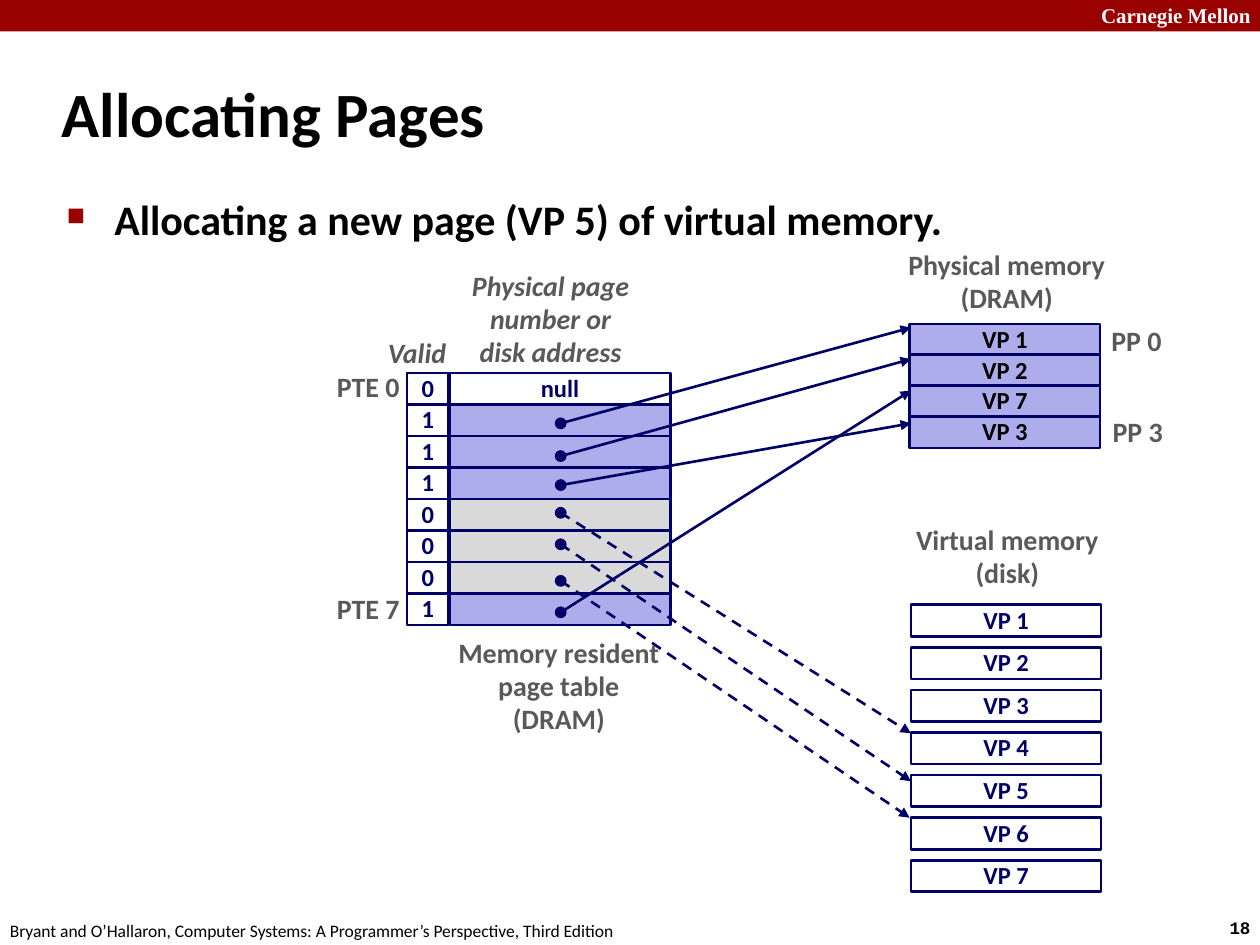
from typing import NamedTuple, Optional

from lxml.etree import SubElement
from pptx import Presentation
from pptx.dml.color import RGBColor
from pptx.enum.dml import MSO_LINE
from pptx.enum.shapes import MSO_CONNECTOR, MSO_SHAPE
from pptx.enum.text import MSO_ANCHOR, PP_ALIGN
from pptx.oxml.ns import qn
from pptx.shapes.autoshape import Shape
from pptx.slide import Slide
from pptx.util import Inches, Length, Pt

RED = RGBColor(0x99, 0x00, 0x00)
NAVY = RGBColor(0x00, 0x00, 0x66)
LILAC = RGBColor(0xAD, 0xAD, 0xEB)
SILVER = RGBColor(0xD9, 0xD9, 0xD9)
GREY = RGBColor(0x59, 0x59, 0x59)
BLACK = RGBColor(0x00, 0x00, 0x00)
WHITE = RGBColor(0xFF, 0xFF, 0xFF)

COLUMNS, ROWS = 100, 75
WIDTH, HEIGHT = Inches(10), Inches(7.5)
CELL_HEIGHT = 2.5
DOT_SIZE = 0.8
DOT_CENTER = 44.5


class Area(NamedTuple):
    left: float
    top: float
    width: float
    height: float


class Style(NamedTuple):
    size: float
    color: RGBColor
    bold: bool = True
    italic: bool = False
    align: PP_ALIGN = PP_ALIGN.LEFT
    anchor: MSO_ANCHOR = MSO_ANCHOR.TOP
    font: str = "Calibri"
    spacing: float = 1.0


class Label(NamedTuple):
    text: str
    area: Area
    style: Style


class Target(NamedTuple):
    dot: float
    left: float
    top: float


class Entry(NamedTuple):
    valid: str
    fill: RGBColor
    text: str = ""
    target: Optional[Target] = None


class Stack(NamedTuple):
    first: Area
    pitch: float
    names: list[str]
    fill: RGBColor
    color: RGBColor


CAPTION = Style(16, GREY, align=PP_ALIGN.CENTER, spacing=0.98)
SIDE = CAPTION._replace(anchor=MSO_ANCHOR.MIDDLE)
CELL = SIDE._replace(size=14, color=NAVY)

TITLE = Label("Allocating Pages", Area(3.9, 4.8, 83, 8.3),
              Style(36, BLACK, anchor=MSO_ANCHOR.MIDDLE))
BODY = Label("Allocating a new page (VP 5) of virtual memory.",
             Area(4.3, 14.9, 86.4, 54.4), Style(24, BLACK))
LABELS = [
    Label("Carnegie Mellon", Area(86.4, -0.3, 14.3, 3), Style(12, WHITE, font="Times New Roman")),
    Label("18", Area(96.6, 72.3, 4.5, 2.7), Style(10, BLACK, font="Courier New")),
    Label("Bryant and O’Hallaron, Computer Systems: A Programmer’s Perspective, Third Edition",
          Area(-0.2, 72.5, 50.8, 2.7), Style(10, BLACK, bold=False)),
    TITLE,
    Label("Memory resident\npage table\n(DRAM)", Area(35.1, 50.1, 18.5, 8.9), CAPTION),
    Label("Physical memory\n(DRAM)", Area(71, 19.3, 17.8, 6.3), CAPTION),
    Label("Virtual memory\n(disk)", Area(71.5, 41.1, 16.9, 6.3), CAPTION),
    Label("Valid", Area(29.8, 26.3, 7.5, 3.7), CAPTION._replace(italic=True, align=PP_ALIGN.LEFT)),
    Label("Physical page\nnumber or\ndisk address", Area(36.4, 20.9, 14.6, 8.9),
          SIDE._replace(italic=True)),
    Label("PTE 0", Area(25.7, 28.9, 7, 3.7), SIDE._replace(align=PP_ALIGN.RIGHT)),
    Label("PTE 7", Area(25.7, 46.5, 7, 3.7), SIDE._replace(align=PP_ALIGN.RIGHT)),
    Label("PP 0", Area(87.2, 25.3, 6, 3.7), SIDE),
    Label("PP 3", Area(87.3, 32.5, 6, 3.7), SIDE),
]
ENTRIES = [
    Entry("0", WHITE, "null"),
    Entry("1", LILAC, target=Target(33.6, 72.3, 26)),
    Entry("1", LILAC, target=Target(36.2, 72.3, 28.5)),
    Entry("1", LILAC, target=Target(38.5, 72.3, 33.6)),
    Entry("0", SILVER, target=Target(40.7, 72.3, 58.2)),
    Entry("0", SILVER, target=Target(43.2, 72.3, 62)),
    Entry("0", SILVER, target=Target(46.1, 72.2, 64.9)),
    Entry("1", LILAC, target=Target(48.6, 72.3, 31)),
]
VALID_CELL = Area(32.3, 29.6, 3.3, CELL_HEIGHT)
ADDRESS_CELL = Area(35.7, 29.6, 17.5, CELL_HEIGHT)
STACKS = [
    Stack(Area(72.2, 25.7, 15.1, CELL_HEIGHT), 2.45,
          ["VP 1", "VP 2", "VP 7", "VP 3"], LILAC, BLACK),
    Stack(Area(72.3, 48, 15.1, CELL_HEIGHT), 3.38,
          [f"VP {number}" for number in range(1, 8)], WHITE, NAVY),
]


def across(columns: float) -> Length:
    """Turn grid columns into a horizontal length."""
    return Length(round(WIDTH * columns / COLUMNS))


def down(rows: float) -> Length:
    """Turn grid rows into a vertical length."""
    return Length(round(HEIGHT * rows / ROWS))


def place(area: Area) -> tuple[Length, Length, Length, Length]:
    """Turn a grid area into slide lengths."""
    return across(area.left), down(area.top), across(area.width), down(area.height)


def write(shape: Shape, text: str, style: Style) -> None:
    """Fill a shape with text in one style."""
    frame = shape.text_frame
    frame.text = text
    frame.word_wrap = style.align == PP_ALIGN.LEFT
    frame.vertical_anchor = style.anchor
    for para in frame.paragraphs:
        para.alignment = style.align
        para.line_spacing = style.spacing
        for span in para.runs:
            span.font.name = style.font
            span.font.size = Pt(style.size)
            span.font.bold = style.bold
            span.font.italic = style.italic
            span.font.color.rgb = style.color


def add_label(page: Slide, label: Label) -> Shape:
    """Add a text box."""
    box = page.shapes.add_textbox(*place(label.area))
    write(box, label.text, label.style)
    return box


def indent(box: Shape, bullet: str) -> None:
    """Give the first paragraph a hanging red bullet."""
    properties = box.text_frame.paragraphs[0]._p.get_or_add_pPr()
    properties.set("marL", str(Inches(0.38)))
    properties.set("indent", str(-Inches(0.38)))
    color = SubElement(properties, qn("a:buClr"))
    SubElement(color, qn("a:srgbClr"), val=str(RED))
    SubElement(properties, qn("a:buSzPct"), val="60000")
    SubElement(properties, qn("a:buChar"), char=bullet)


def add_figure(page: Slide, kind: MSO_SHAPE, area: Area, fill: RGBColor,
               line: Optional[RGBColor] = NAVY, weight: float = 1.5) -> Shape:
    """Add a filled preset shape."""
    shape = page.shapes.add_shape(kind, *place(area))
    shape.shadow.inherit = False
    shape.fill.solid()
    shape.fill.fore_color.rgb = fill
    if line is None:
        shape.line.fill.background()
    else:
        shape.line.color.rgb = line
        shape.line.width = Pt(weight)
    return shape


def add_cell(page: Slide, area: Area, fill: RGBColor, text: str, color: RGBColor = NAVY) -> None:
    """Add a memory cell with its text, if any."""
    cell = add_figure(page, MSO_SHAPE.RECTANGLE, area, fill)
    if text:
        write(cell, text, CELL._replace(color=color))


def add_pointer(page: Slide, target: Target, dashed: bool) -> None:
    """Add a dot and an arrow from it to a page."""
    arrow = page.shapes.add_connector(MSO_CONNECTOR.STRAIGHT, across(DOT_CENTER), down(target.dot),
                                      across(target.left), down(target.top))
    arrow.line.color.rgb = NAVY
    arrow.line.width = Pt(1.5)
    if dashed:
        arrow.line.dash_style = MSO_LINE.DASH
    SubElement(arrow.line._get_or_add_ln(), qn("a:tailEnd"), type="triangle")
    SubElement(arrow._element.spPr, qn("a:effectLst"))
    corner = DOT_SIZE / 2
    add_figure(page, MSO_SHAPE.OVAL, Area(DOT_CENTER - corner, target.dot - corner,
                                          DOT_SIZE, DOT_SIZE), NAVY, weight=1)


def main() -> None:
    """Build the slide and save it."""
    deck = Presentation()
    deck.slide_width, deck.slide_height = WIDTH, HEIGHT
    page = deck.slides.add_slide(deck.slide_layouts[6])
    add_figure(page, MSO_SHAPE.RECTANGLE, Area(0, 0, COLUMNS, 2.5), RED, line=None)
    for row, entry in enumerate(ENTRIES):
        top = ADDRESS_CELL.top + row * CELL_HEIGHT
        add_cell(page, ADDRESS_CELL._replace(top=top), entry.fill, entry.text)
        add_cell(page, VALID_CELL._replace(top=top), WHITE, entry.valid)
    for stack in STACKS:
        for row, name in enumerate(stack.names):
            area = stack.first._replace(top=stack.first.top + row * stack.pitch)
            add_cell(page, area, stack.fill, name, stack.color)
    for label in LABELS:
        add_label(page, label)
    indent(add_label(page, BODY), "■")
    for entry in ENTRIES:
        if entry.target:
            add_pointer(page, entry.target, dashed=entry.valid == "0")
    deck.save("out.pptx")


if __name__ == "__main__":
    main()
